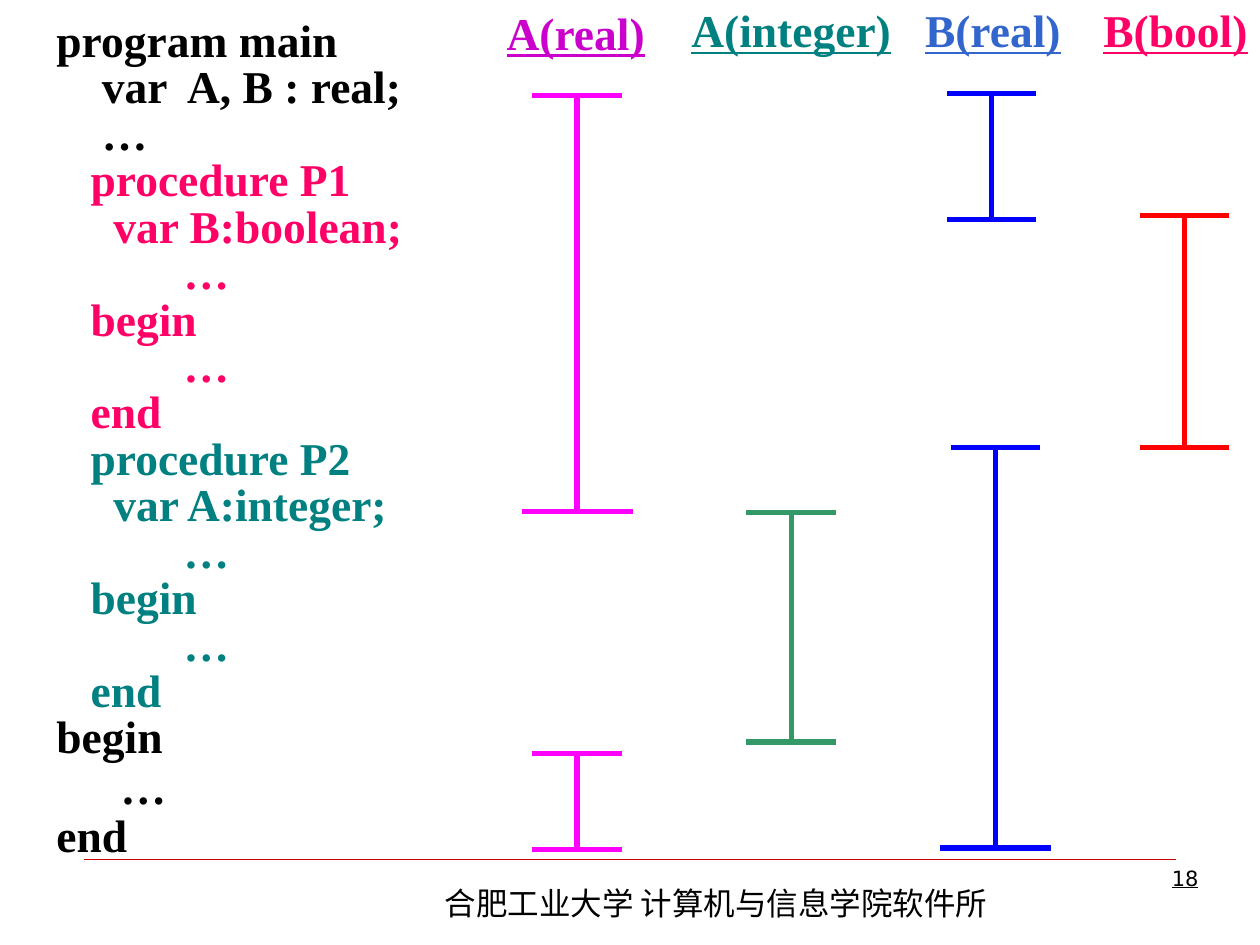
import pptx
import pptx.util
import pptx.dml.color
import pptx.enum.shapes
import pptx.enum.text
import pptx.oxml
import pptx.oxml.ns
from pptx.util import Inches

SERIF = "Times New Roman"
ALIGN = pptx.enum.text.PP_ALIGN


def style(font, name, size, color, bold=False, under=False):
    font.name = name
    font.size = pptx.util.Pt(size)
    font.bold = bold
    font.underline = under
    font.color.rgb = pptx.dml.color.RGBColor.from_string(color)


def line(shapes, x1, y1, x2, y2, color, width):
    link = shapes.add_connector(
        pptx.enum.shapes.MSO_CONNECTOR.STRAIGHT,
        Inches(x1), Inches(y1), Inches(x2), Inches(y2))
    link.line.color.rgb = pptx.dml.color.RGBColor.from_string(color)
    link.line.width = pptx.util.Pt(width)
    props = link._element.spPr
    props.find(pptx.oxml.ns.qn("a:ln")).set("cap", "sq")
    props.append(pptx.oxml.parse_xml(
        "<a:effectLst %s/>" % pptx.oxml.ns.nsdecls("a")))


deck = pptx.Presentation()
deck.slide_width = Inches(10)
deck.slide_height = Inches(7.5)
slide = deck.slides.add_slide(deck.slide_layouts[6])

line(slide.shapes, 0.67, 6.82, 9.33, 6.82, "CC0000", 0.25)

# Program text: lines grouped by the colour of their scope
code = [
    ("000000", ["program main", "    var  A, B : real;", "    …"]),
    ("FF0066", ["   procedure P1", "     var B:boolean;", " \t\t…",
                "   begin", " \t\t…", "   end"]),
    ("008080", ["   procedure P2", "     var A:integer;", " \t\t…",
                "   begin", " \t\t…", "   end"]),
    ("000000", ["begin", " \t…", "end"]),
]
box = slide.shapes.add_textbox(
    Inches(0.35), Inches(0.13), Inches(3.83), Inches(6.85))
frame = box.text_frame
frame.word_wrap = True
rows = [(color, text) for color, texts in code for text in texts]
for i, (color, text) in enumerate(rows):
    para = frame.paragraphs[0] if i == 0 else frame.add_paragraph()
    para.text = text
    para.line_spacing = 0.9 if text == " \t…" else 0.8
    if i:
        para.space_before = pptx.util.Pt(1.6)
    props = para._p.get_or_add_pPr()
    props.set("marL", str(Inches(0.51)))
    props.set("indent", str(Inches(-0.51)))
    props.append(pptx.oxml.parse_xml(
        '<a:tabLst %s><a:tab pos="%d" algn="l"/></a:tabLst>' % (
            pptx.oxml.ns.nsdecls("a"), Inches(1.51))))
    style(para.runs[0].font, SERIF, 26, color, bold=True)

# Column heads: text, left, top, width, colour
heads = [
    ("A(real)", 3.92, -0.01, 1.3, "CC00CC"),
    ("A(integer)", 5.39, -0.03, 1.78, "008080"),
    ("B(real)", 7.24, -0.03, 1.28, "3366CC"),
    ("B(bool)", 8.66, -0.03, 1.34, "FF0066"),
]
for text, left, top, width, color in heads:
    box = slide.shapes.add_textbox(
        Inches(left), Inches(top), Inches(width), Inches(0.54))
    frame = box.text_frame
    frame.word_wrap = False
    frame.margin_left = frame.margin_right = 0
    para = frame.paragraphs[0]
    para.text = text
    para.alignment = ALIGN.CENTER
    style(para.runs[0].font, SERIF, 26, color, bold=True, under=True)

# Scope bars: centre, top, bottom, half width of the bottom cap, colour
bars = [
    (4.58, 0.76, 4.06, 0.42, "FF00FF"),
    (4.58, 5.98, 6.74, 0.335, "FF00FF"),
    (7.87, 0.74, 1.74, 0.335, "0000FF"),
    (7.9, 3.55, 6.73, 0.42, "0000FF"),
    (9.4, 1.71, 3.55, 0.335, "FF0000"),
    (6.28, 4.07, 5.89, 0.335, "339966"),
]
for x, top, base, half, color in bars:
    group = slide.shapes.add_group_shape()
    line(group.shapes, x - 0.335, top, x + 0.335, top, color, 3)
    line(group.shapes, x, top, x, base, color, 3)
    line(group.shapes, x - half, base, x + half, base, color, 3)

# Footer: text, left, top, width, height, font, size, alignment, underline
foot = [
    ("合肥工业大学 计算机与信息学院软件所", 3.43, 6.97, 4.88, 0.4,
     "Noto Sans CJK SC", 18, ALIGN.LEFT, False),
    ("18", 7.44, 6.82, 2.17, 0.52, "DejaVu Sans", 12, ALIGN.RIGHT, True),
]
for text, left, top, width, height, name, size, align, under in foot:
    box = slide.shapes.add_textbox(
        Inches(left), Inches(top), Inches(width), Inches(height))
    box.text_frame.word_wrap = True
    para = box.text_frame.paragraphs[0]
    para.text = text
    para.alignment = align
    font = para.runs[0].font
    style(font, name, size, "000000", under=under)
    ea = pptx.oxml.parse_xml('<a:ea %s typeface="%s"/>' % (
        pptx.oxml.ns.nsdecls("a"), name))
    font._element.find(pptx.oxml.ns.qn("a:latin")).addnext(ea)

deck.save("out.pptx")
